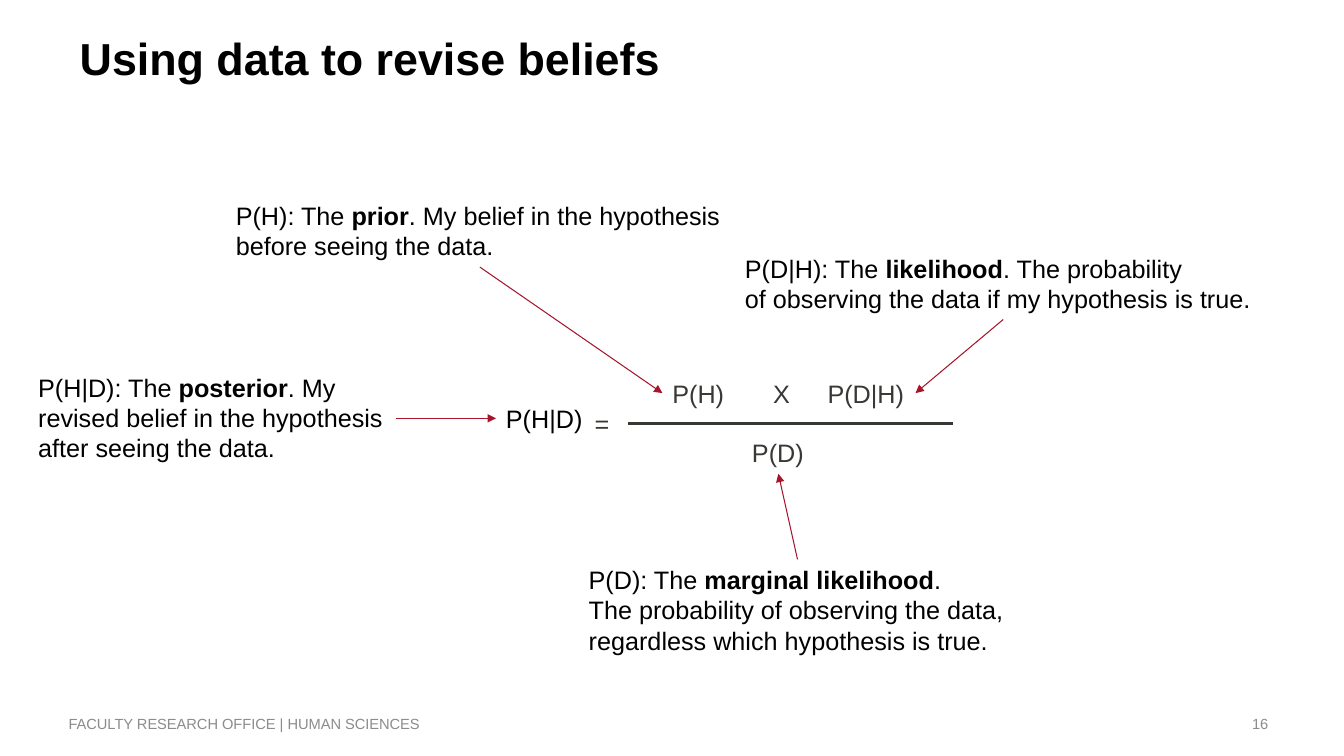
import dataclasses
import typing

import pptx
import pptx.dml.color
import pptx.enum.shapes
import pptx.enum.text
import pptx.oxml
import pptx.oxml.ns
import pptx.util

Inches = pptx.util.Inches
Align = pptx.enum.text.PP_ALIGN
Anchor = pptx.enum.text.MSO_ANCHOR


@dataclasses.dataclass(frozen=True)
class Theme:
    font: str = "Arial"
    black: str = "000000"
    formula: str = "3A3835"
    arrow: str = "A6152B"
    footer: str = "8C8C8C"
    title_size: float = 32
    body_size: float = 18
    footer_size: float = 10.5
    fraction_width: float = 2.25
    arrow_width: float = 0.75


class Box(typing.NamedTuple):
    left: float
    top: float
    width: float
    height: float


class Term(typing.NamedTuple):
    text: str
    box: Box
    color: str


class Explanation(typing.NamedTuple):
    symbol: str
    keyword: str
    ending: str
    more_lines: tuple[str, ...]
    box: Box


class Line(typing.NamedTuple):
    start: tuple[float, float]
    end: tuple[float, float]


THEME = Theme()
TERM_HEIGHT = 0.4
NUMERATOR_TOP = 3.7

TERMS = [
    Term("P(H)", Box(6.57, NUMERATOR_TOP, 0.72, TERM_HEIGHT), THEME.formula),
    Term("X", Box(7.57, NUMERATOR_TOP, 0.37, TERM_HEIGHT), THEME.formula),
    Term("P(D|H)", Box(8.11, NUMERATOR_TOP, 0.97, TERM_HEIGHT), THEME.formula),
    Term("P(D)", Box(7.36, 4.29, 0.72, TERM_HEIGHT), THEME.formula),
    Term("P(H|D)", Box(4.92, 3.95, 0.97, TERM_HEIGHT), THEME.black),
    Term("=", Box(5.8, 4, 0.35, TERM_HEIGHT), THEME.formula),
]

EXPLANATIONS = [
    Explanation("P(H|D)", "posterior", ". My",
                ("revised belief in the hypothesis", "after seeing the data."),
                Box(0.28, 3.64, 3.65, 1.01)),
    Explanation("P(H)", "prior", ". My belief in the hypothesis",
                ("before seeing the data.",),
                Box(2.24, 1.94, 5.05, 0.71)),
    Explanation("P(D|H)", "likelihood", ". The probability",
                ("of observing the data if my hypothesis is true.",),
                Box(7.29, 2.46, 5.32, 0.71)),
    Explanation("P(D)", "marginal likelihood", ".",
                ("The probability of observing the data,",
                 "regardless which hypothesis is true."),
                Box(5.74, 5.55, 4.35, 1.01)),
]

FRACTION_BAR = Line((6.23, 4.2), (9.45, 4.2))
ARROWS = [
    Line((3.93, 4.15), (4.92, 4.15)),
    Line((4.76, 2.65), (6.57, 3.9)),
    Line((9.95, 3.17), (9.08, 3.9)),
    Line((7.91, 5.55), (7.72, 4.7)),
]


def style_runs(paragraph, size: float, color: str) -> None:
    for run in paragraph.runs:
        run.font.name = THEME.font
        run.font.size = pptx.util.Pt(size)
        run.font.color.rgb = pptx.dml.color.RGBColor.from_string(color)


def clear_margins(frame) -> None:
    frame.margin_left = frame.margin_right = 0
    frame.margin_top = frame.margin_bottom = 0


def add_text_frame(slide, box: Box):
    frame = slide.shapes.add_textbox(*map(Inches, box)).text_frame
    frame.word_wrap = False
    frame.auto_size = pptx.enum.text.MSO_AUTO_SIZE.SHAPE_TO_FIT_TEXT
    return frame


def set_title(slide, text: str) -> None:
    title = slide.shapes.title
    title.left, title.top, title.width, title.height = map(
        Inches, Box(0.79, 0.3, 9.25, 0.71))
    frame = title.text_frame
    frame.text = text
    frame.vertical_anchor = Anchor.TOP
    clear_margins(frame)
    heading = frame.paragraphs[0]
    heading.alignment = Align.LEFT
    style_runs(heading, THEME.title_size, THEME.black)
    heading.runs[0].font.bold = True


def add_footer(slide, text: str, box: Box, alignment: Align) -> None:
    frame = slide.shapes.add_textbox(*map(Inches, box)).text_frame
    frame.word_wrap = True
    frame.text = text
    frame.vertical_anchor = Anchor.MIDDLE
    clear_margins(frame)
    frame.paragraphs[0].alignment = alignment
    style_runs(frame.paragraphs[0], THEME.footer_size, THEME.footer)


def add_term(slide, term: Term) -> None:
    frame = add_text_frame(slide, term.box)
    frame.text = term.text
    style_runs(frame.paragraphs[0], THEME.body_size, term.color)


def add_explanation(slide, explanation: Explanation) -> None:
    frame = add_text_frame(slide, explanation.box)
    definition = frame.paragraphs[0]
    definition.text = f"{explanation.symbol}: The "
    keyword = definition.add_run()
    keyword.text = explanation.keyword
    keyword.font.bold = True
    definition.add_run().text = explanation.ending
    for text in explanation.more_lines:
        frame.add_paragraph().text = text
    for paragraph in frame.paragraphs:
        style_runs(paragraph, THEME.body_size, THEME.black)


def add_line(slide, line: Line, color: str, width: float,
             arrowhead: bool = False) -> None:
    connector = slide.shapes.add_connector(
        pptx.enum.shapes.MSO_CONNECTOR.STRAIGHT,
        *map(Inches, line.start + line.end))
    connector.line.color.rgb = pptx.dml.color.RGBColor.from_string(color)
    connector.line.width = pptx.util.Pt(width)
    if arrowhead:
        tail = pptx.oxml.parse_xml(
            f'<a:tailEnd {pptx.oxml.ns.nsdecls("a")} type="triangle"/>')
        connector.line._get_or_add_ln().append(tail)
    no_effects = pptx.oxml.parse_xml(
        f'<a:effectLst {pptx.oxml.ns.nsdecls("a")}/>')
    connector._element.spPr.append(no_effects)


def main() -> None:
    presentation = pptx.Presentation()
    presentation.slide_width = Inches(13.33)
    presentation.slide_height = Inches(7.5)
    title_only = presentation.slide_layouts.get_by_name("Title Only")
    slide = presentation.slides.add_slide(title_only)

    # Title and footer
    set_title(slide, "Using data to revise beliefs")
    add_footer(slide, "FACULTY RESEARCH OFFICE | HUMAN SCIENCES",
               Box(0.68, 6.98, 5.88, 0.4), Align.LEFT)
    add_footer(slide, "16", Box(9.56, 6.98, 3.02, 0.4), Align.RIGHT)

    # Bayes' formula
    for term in TERMS:
        add_term(slide, term)
    add_line(slide, FRACTION_BAR, THEME.formula, THEME.fraction_width)

    # Explanations and the arrows to their terms
    for explanation in EXPLANATIONS:
        add_explanation(slide, explanation)
    for arrow in ARROWS:
        add_line(slide, arrow, THEME.arrow, THEME.arrow_width, arrowhead=True)

    presentation.save("out.pptx")


if __name__ == "__main__":
    main()
